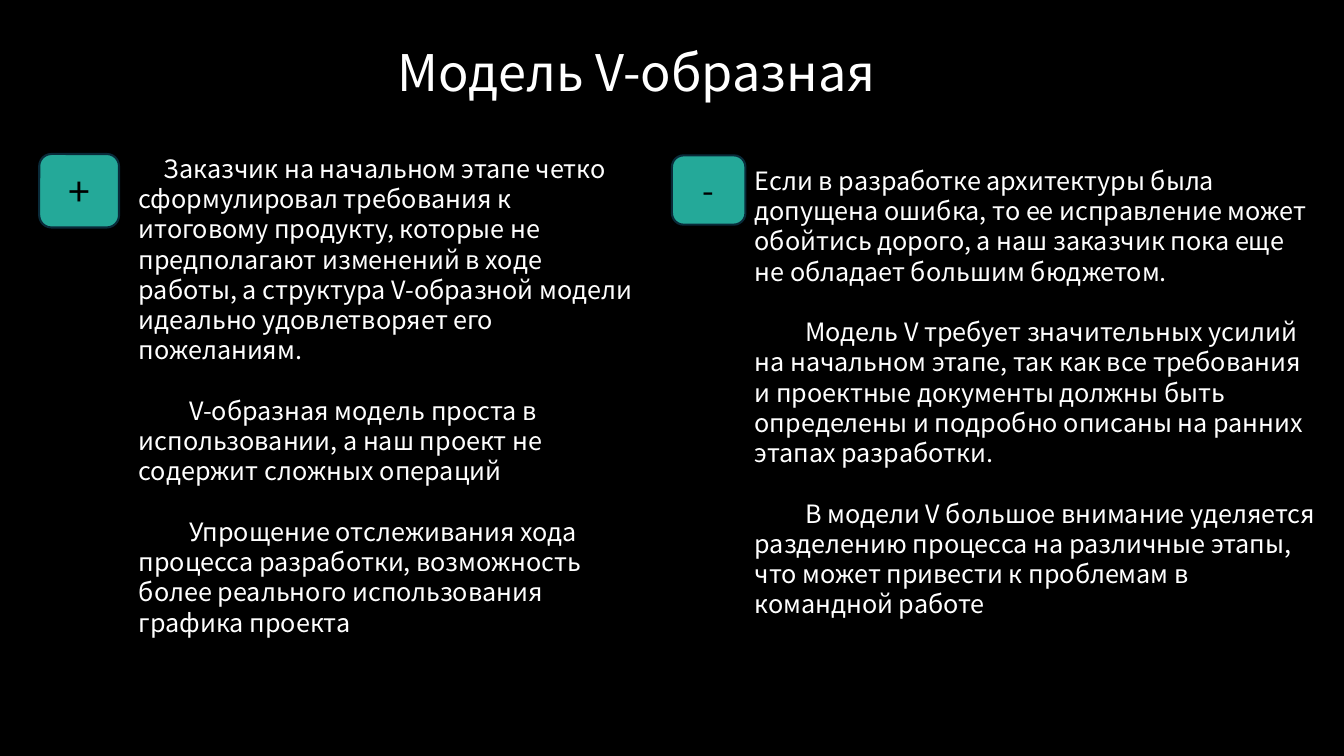
from pptx import Presentation
from pptx.dml.color import RGBColor
from pptx.enum.shapes import MSO_SHAPE
from pptx.enum.text import MSO_ANCHOR, MSO_AUTO_SIZE, PP_ALIGN
from pptx.util import Pt

FONT = "Noto Sans CJK KR"
COLORS = {"background": "000000", "text": "FFFFFF", "badge": "24A999",
          "outline": "092A39", "sign": "000000"}


def color(name):
    return RGBColor.from_string(COLORS[name])


def style(p, size, name, align=PP_ALIGN.LEFT):
    p.font.name = FONT
    p.font.size = Pt(size)
    p.font.color.rgb = color(name)
    p.alignment = align


prs = Presentation()
prs.slide_width, prs.slide_height = Pt(960), Pt(540)
s = prs.slides.add_slide(prs.slide_layouts[5])
s.background.fill.solid()
s.background.fill.fore_color.rgb = color("background")

title = s.shapes.title
title.left, title.top, title.width, title.height = Pt(276.5), Pt(26), Pt(437), Pt(94)
tf = title.text_frame
tf.text = "Модель V-образная"
tf.vertical_anchor = MSO_ANCHOR.TOP
tf.auto_size = MSO_AUTO_SIZE.NONE
style(tf.paragraphs[0], 36, "text")

badges = [
    ("+", 28, (28, 110, 57, 52.5)),
    ("-", 24, (480, 111, 52.5, 49.5)),
]
for sign, size, box in badges:
    sp = s.shapes.add_shape(MSO_SHAPE.ROUNDED_RECTANGLE, *map(Pt, box))
    sp.shadow.inherit = False
    sp.fill.solid()
    sp.fill.fore_color.rgb = color("badge")
    sp.line.color.rgb = color("outline")
    sp.line.width = Pt(1.5)
    tf = sp.text_frame
    tf.text = sign
    tf.vertical_anchor = MSO_ANCHOR.MIDDLE
    style(tf.paragraphs[0], size, "sign", PP_ALIGN.CENTER)

columns = [
    ((532, 114.5, 415.5, 378), [
        (0, "Если в разработке архитектуры была допущена ошибка, то ее исправление может "
            "обойтись дорого, а наш заказчик пока еще не обладает большим бюджетом."),
        (36, "Модель V требует значительных усилий на начальном этапе, так как все требования "
             "и проектные документы должны быть определены и подробно описаны на ранних "
             "этапах разработки."),
        (36, "В модели V большое внимание уделяется разделению процесса на различные этапы, "
             "что может привести к проблемам в командной работе"),
    ]),
    ((92, 106, 375, 380), [
        (18, "Заказчик на начальном этапе четко сформулировал требования к итоговому продукту, "
             "которые не предполагают изменений в ходе работы, а структура V-образной модели "
             "идеально удовлетворяет его пожеланиям."),
        (36, "V-образная модель проста в использовании, а наш проект не содержит сложных операций"),
        (36, "Упрощение отслеживания хода процесса разработки, возможность более реального "
             "использования графика проекта"),
    ]),
]
for box, points in columns:
    tf = s.shapes.add_textbox(*map(Pt, box)).text_frame
    tf.word_wrap = True
    for i, (indent, text) in enumerate(points):
        p = tf.add_paragraph() if i else tf.paragraphs[0]
        p.text = text
        style(p, 18, "text")
        p.space_before = Pt(21.6 if i else 0)
        p._p.get_or_add_pPr().set("indent", str(Pt(indent)))

prs.save("out.pptx")
